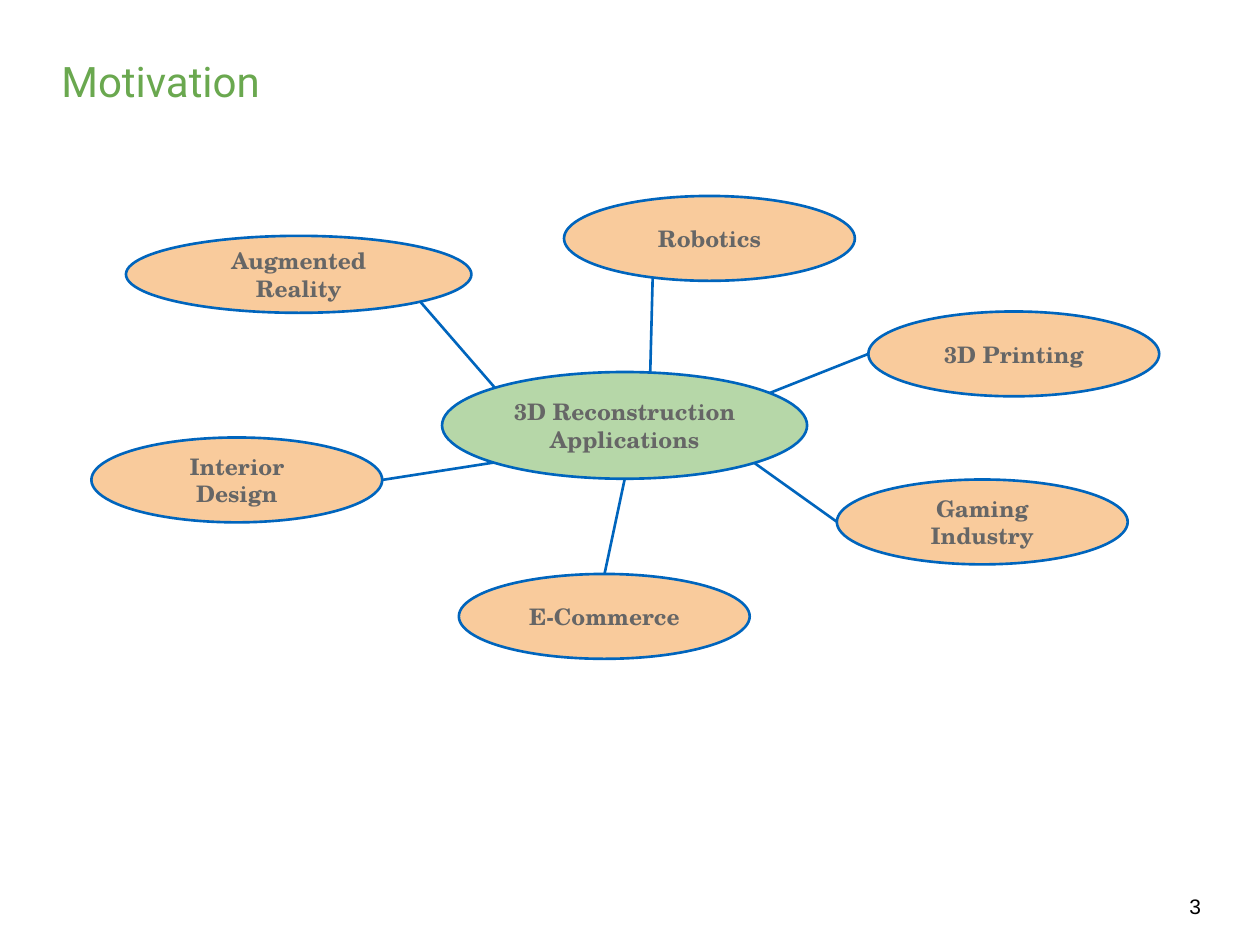
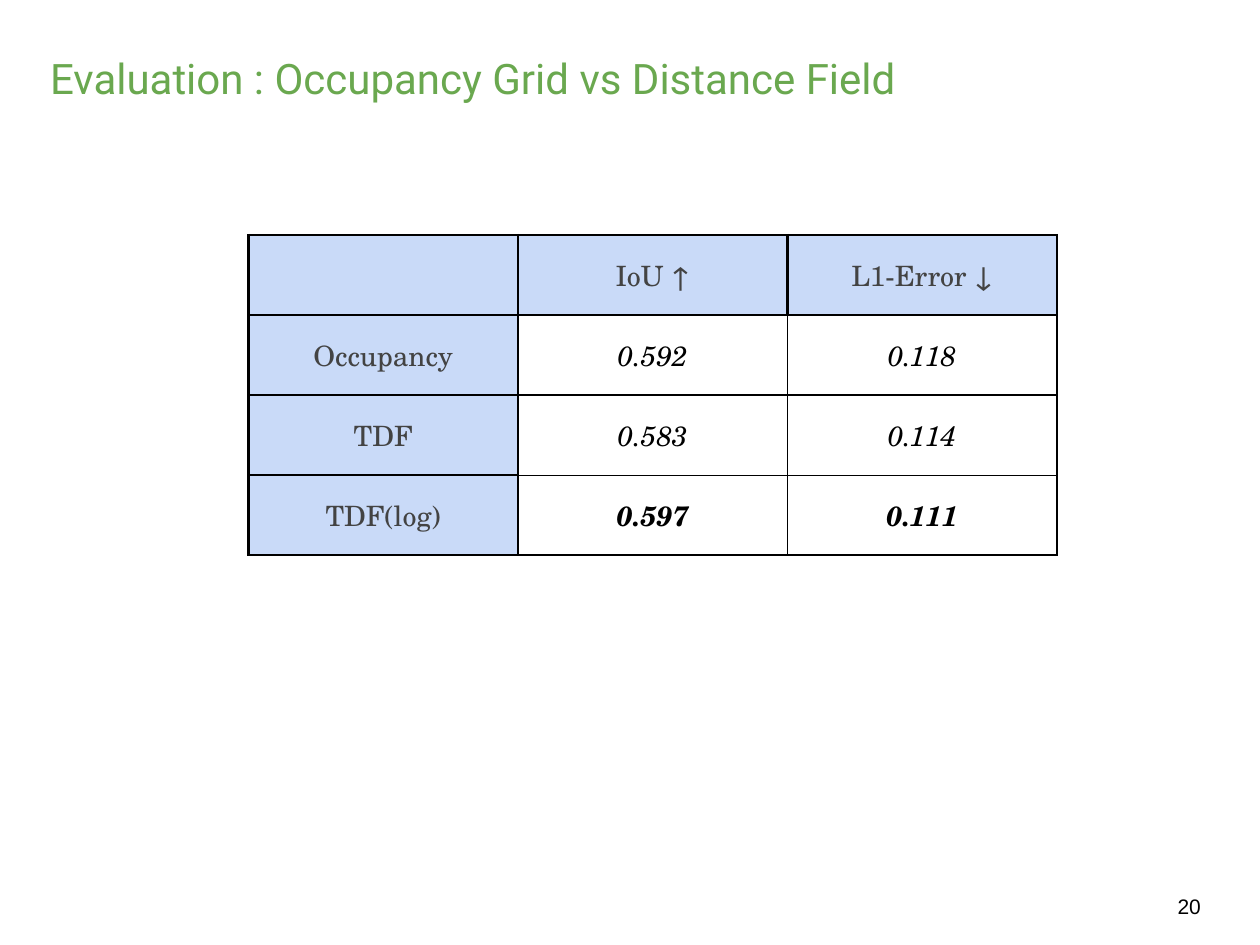
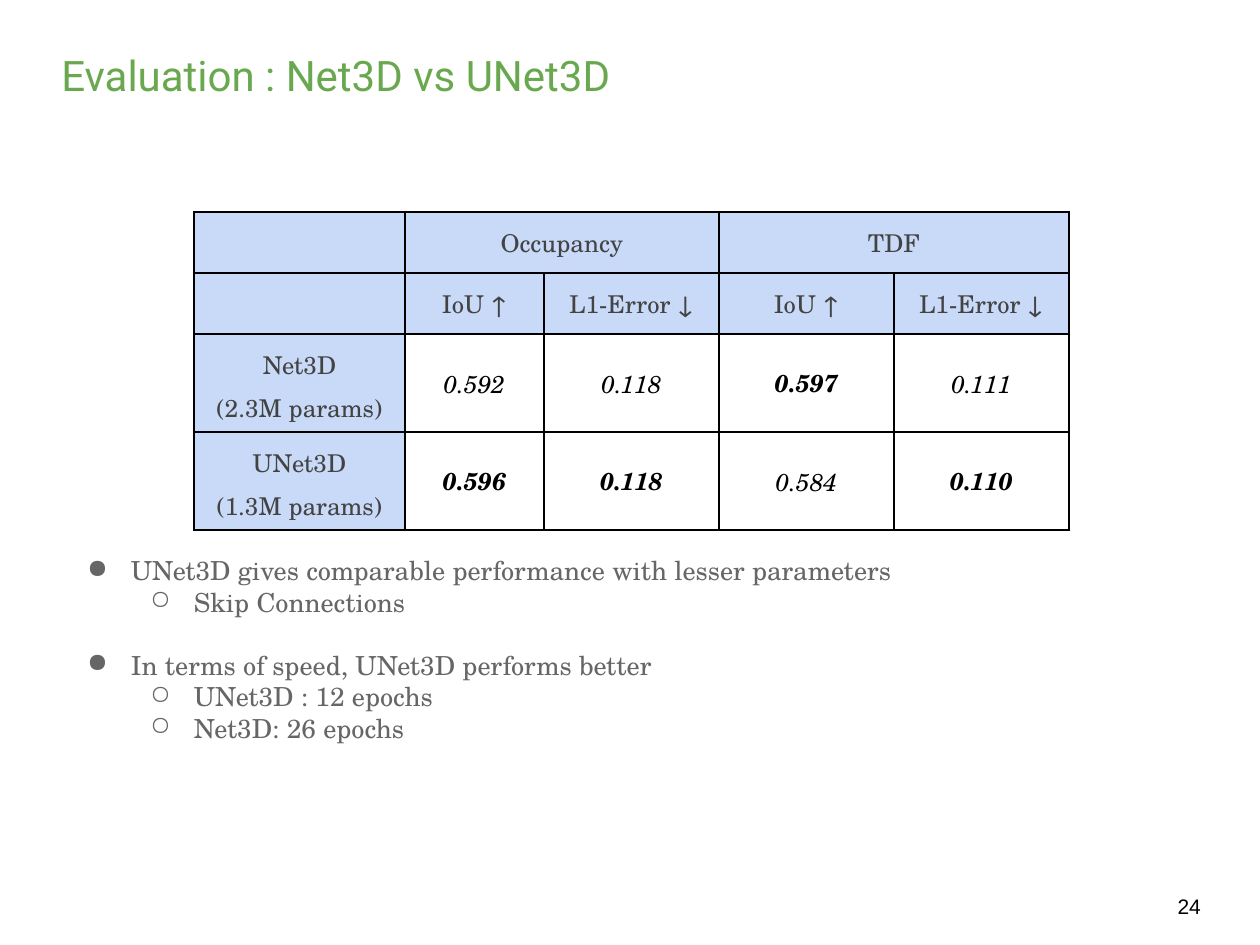
from lxml import etree
from pptx import Presentation
from pptx.dml.color import RGBColor
from pptx.enum import shapes, text
from pptx.oxml import ns
from pptx.util import Pt

COLORS = {
    "title": "6AA84F", "line": "0065BD", "hub": "B6D7A8", "topic": "F9CB9C",
    "gray": "666666", "header": "C9DAF8", "header_text": "434343",
    "black": "000000", "white": "FFFFFF",
}
RGB = {name: RGBColor.from_string(value) for name, value in COLORS.items()}
SERIF = "TeX Gyre Schola"
MIDDLE, TOP = text.MSO_ANCHOR.MIDDLE, text.MSO_ANCHOR.TOP
LEFT, CENTER, RIGHT = text.PP_ALIGN.LEFT, text.PP_ALIGN.CENTER, text.PP_ALIGN.RIGHT


def style(para, size, color, font=SERIF, align=LEFT, bold=False, italic=False):
    para.alignment = align
    para.font.size = Pt(size)
    para.font.name = font
    para.font.color.rgb = RGB[color]
    para.font.bold = bold
    para.font.italic = italic


def add_text(page, place, words, anchor=TOP, inset=3.6):
    """Add a wrapping text box with one paragraph per line; return its paragraphs."""
    frame = page.shapes.add_textbox(*map(Pt, place)).text_frame
    frame.word_wrap = True
    frame.vertical_anchor = anchor
    frame.margin_left = frame.margin_right = Pt(7.2)
    frame.margin_top = frame.margin_bottom = Pt(inset)
    frame.text = words
    return frame.paragraphs


deck = Presentation()
deck.slide_width, deck.slide_height = Pt(720), Pt(540)

# Titles and page numbers
title_place = (28, 28.8, 564.5, 28)
pages = []
for title, number, place, anchor, inset, spacing in [
    ("Motivation", "3", title_place, MIDDLE, 3.6, 1.25),
    ("Evaluation : Occupancy Grid vs Distance Field", "20",
     (21.6, 23, 607.7, 33.8), TOP, 7.2, 1),
    ("Evaluation : Net3D vs UNet3D", "24", title_place, MIDDLE, 3.6, 1),
]:
    page = deck.slides.add_slide(deck.slide_layouts[6])
    heading = add_text(page, place, title, anchor, inset)[0]
    heading.line_spacing = spacing
    style(heading, 24, "title", "Roboto")
    style(add_text(page, (648.7, 506.9, 44.6, 28), number)[0], 12, "black", "Arial", RIGHT)
    pages.append(page)
motivation, grid_page, net_page = pages

# Application map
for start_x, start_y, end_x, end_y in [
    (357, 273.6, 345.4, 328.3), (434.2, 226.8, 496.1, 202.3),
    (430.6, 264.2, 478.1, 298.1), (373, 157.7, 371.5, 216),
    (240.5, 172.8, 283, 221.8), (218.2, 274.3, 283, 264.2),
]:
    spoke = motivation.shapes.add_connector(
        shapes.MSO_CONNECTOR.STRAIGHT, Pt(start_x), Pt(start_y), Pt(end_x), Pt(end_y))
    spoke.line.color.rgb = RGB["line"]
    spoke.line.width = Pt(1.5)
    etree.SubElement(spoke._element.spPr, ns.qn("a:effectLst"))

topic_size = (166.2, 48.5)
for label, left, top, (width, height), fill in [
    ("Augmented Reality", 72, 134.8, (197.4, 44), "topic"),
    ("Robotics", 322.3, 112, topic_size, "topic"),
    ("3D Printing", 496.2, 178, topic_size, "topic"),
    ("Gaming Industry", 478.2, 274, topic_size, "topic"),
    ("E-Commerce", 262.2, 328, topic_size, "topic"),
    ("Interior Design", 52.2, 250, topic_size, "topic"),
    ("3D Reconstruction Applications", 252.6, 212.6, (208.6, 61), "hub"),
]:
    bubble = motivation.shapes.add_shape(
        shapes.MSO_SHAPE.OVAL, Pt(left), Pt(top), Pt(width), Pt(height))
    bubble.shadow.inherit = False
    bubble.fill.solid()
    bubble.fill.fore_color.rgb = RGB[fill]
    bubble.line.color.rgb = RGB["line"]
    bubble.line.width = Pt(1.5)
    frame = bubble.text_frame
    frame.word_wrap = True
    frame.vertical_anchor = MIDDLE
    frame.margin_left = frame.margin_right = Pt(7.2)
    frame.margin_top = frame.margin_bottom = Pt(7.2)
    frame.text = label
    style(frame.paragraphs[0], 13, "gray", align=CENTER, bold=True)

# Result tables: inner is the width of the lines between values
grid_rows = [
    ["", "IoU ↑", "L1-Error ↓"],
    ["Occupancy", "0.592", "0.118"],
    ["TDF", "0.583", "0.114"],
    ["TDF(log)", "0.597", "0.111"],
]
net_rows = [
    ["", "Occupancy", "", "TDF", ""],
    ["", "IoU ↑", "L1-Error ↓", "IoU ↑", "L1-Error ↓"],
    ["Net3D\n(2.3M params)", "0.592", "0.118", "0.597", "0.111"],
    ["UNet3D\n(1.3M params)", "0.596", "0.118", "0.584", "0.110"],
]
for page, rows, left, top, widths, heights, size, headers, inner, best in [
    (grid_page, grid_rows, 142, 134.3, [154] * 3, [45.75] * 4, 16, 1, 0.75,
     {(3, 1), (3, 2)}),
    (net_page, net_rows, 110.9, 121, [120.5, 79.5, 100, 100, 100], [35, 35, 56, 56],
     14, 2, 1.5, {(2, 3), (3, 1), (3, 2), (3, 4)}),
]:
    table = page.shapes.add_table(
        len(rows), len(widths), Pt(left), Pt(top), Pt(sum(widths)), Pt(sum(heights))).table
    table.first_row = table.horz_banding = False
    for column, width in zip(table.columns, widths):
        column.width = Pt(width)
    for row, height in zip(table.rows, heights):
        row.height = Pt(height)
    for r, values in enumerate(rows):
        for c, value in enumerate(values):
            cell = table.cell(r, c)
            is_header = r < headers or c == 0
            cell.text = value
            cell.vertical_anchor = MIDDLE
            cell.margin_left = cell.margin_right = Pt(7.2)
            cell.margin_top = cell.margin_bottom = Pt(7.2)
            for i, para in enumerate(cell.text_frame.paragraphs):
                if i:
                    para.space_before = Pt(3.8)
                style(para, size, "header_text" if is_header else "black", align=CENTER,
                      bold=(r, c) in best, italic=not is_header)
            cell.fill.solid()
            cell.fill.fore_color.rgb = RGB["header" if is_header else "white"]
            between_values = {
                "lnL": c > 1, "lnR": c < len(widths) - 1,
                "lnT": r > headers, "lnB": r < len(rows) - 1,
            }
            for i, (side, is_inner) in enumerate(between_values.items()):
                weight = inner if is_inner and not is_header else 1.5
                border = etree.Element(ns.qn(f"a:{side}"), w=str(Pt(weight)))
                fill = etree.SubElement(border, ns.qn("a:solidFill"))
                etree.SubElement(fill, ns.qn("a:srgbClr"), val=COLORS["black"])
                cell._tc.tcPr.insert(i, border)
    if headers == 2:
        for c in (1, 3):
            table.cell(0, c).merge(table.cell(0, c + 1))

# Findings below the network table
findings = [
    (0, "UNet3D gives comparable performance with lesser parameters"),
    (1, "Skip Connections"),
    (0, "In terms of speed, UNet3D performs better"),
    (1, "UNet3D : 12 epochs"),
    (1, "Net3D: 26 epochs"),
]
paras = add_text(net_page, (31.7, 309.6, 661.7, 106.6),
                 "\n".join(words for level, words in findings), inset=7.2)
for i, (para, (level, words)) in enumerate(zip(paras, findings)):
    para.level = level
    if i and level == 0:
        para.space_before = Pt(18)
    props = para._p.get_or_add_pPr()
    props.set("marL", str(Pt(36 * (level + 1))))
    props.set("indent", str(Pt(-25)))
    color = etree.SubElement(props, ns.qn("a:buClr"))
    etree.SubElement(color, ns.qn("a:srgbClr"), val=COLORS["gray"])
    etree.SubElement(props, ns.qn("a:buChar"), char="●○"[level])
    style(para, 15, "gray")

deck.save("out.pptx")
